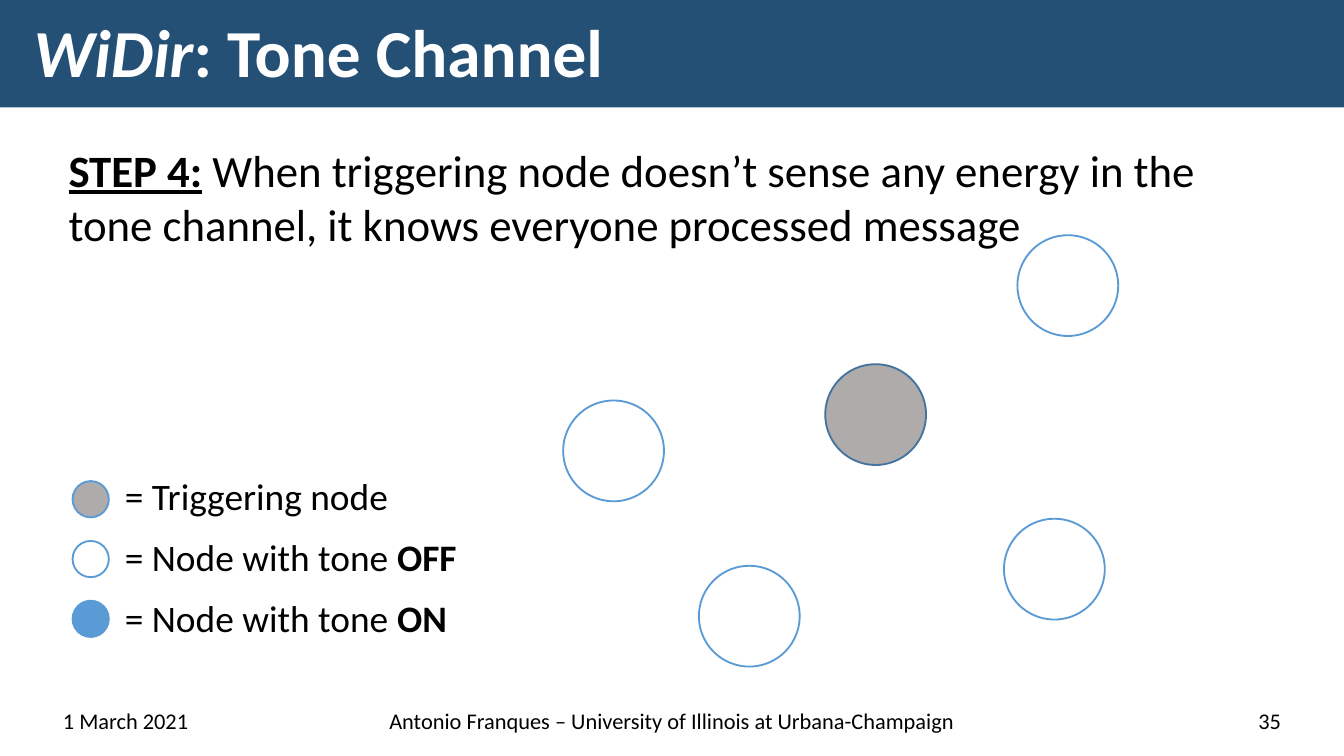
from dataclasses import dataclass
from typing import Any

from pptx import Presentation
from pptx.dml.color import RGBColor as Rgb
from pptx.enum.shapes import MSO_SHAPE as Kind
from pptx.enum.text import MSO_ANCHOR as Anchor, MSO_AUTO_SIZE as Fit, PP_ALIGN as Align
from pptx.util import Inches, Pt


@dataclass(frozen=True)
class Theme:
    font: str = "Calibri"
    bar: Rgb = Rgb(0x25, 0x50, 0x76)
    blue: Rgb = Rgb(0x5B, 0x9B, 0xD5)
    dark: Rgb = Rgb(0x43, 0x73, 0x9E)
    gray: Rgb = Rgb(0xAF, 0xAB, 0xAB)
    white: Rgb = Rgb(255, 255, 255)
    black: Rgb = Rgb(0, 0, 0)
    head: int = 36
    body: int = 24
    key: int = 20
    foot: int = 12


@dataclass(frozen=True)
class Node:
    left: float
    top: float
    fill: Rgb
    line: Rgb
    size: float = 0.75


@dataclass(frozen=True)
class Key:
    fill: Rgb
    text: str
    state: str = ""


@dataclass(frozen=True)
class Foot:
    left: float
    width: float
    text: str
    align: Align


T = Theme()
WIDTH = Inches(10)
HEIGHT = WIDTH * 9 // 16

NODES = [
    Node(6.14, 2.71, T.gray, T.dark),
    Node(7.57, 1.75, T.white, T.blue),
    Node(4.19, 2.98, T.white, T.blue),
    Node(7.47, 3.86, T.white, T.blue),
    Node(5.2, 4.21, T.white, T.blue),
]
KEYS = [
    Key(T.gray, "= Triggering node"),
    Key(T.white, "= Node with tone ", "OFF"),
    Key(T.blue, "= Node with tone ", "ON"),
]
FEET = [
    Foot(0.37, 2.57, "1 March 2021", Align.LEFT),
    Foot(2.77, 4.46, "Antonio Franques – University of Illinois at Urbana-Champaign", Align.CENTER),
    Foot(7.06, 2.57, "35", Align.RIGHT),
]


def put(item: Any, form: dict[str, Any]) -> None:
    for name, value in form.items():
        setattr(item, name, value)


def place(shape: Any, left: float, top: float, width: float, height: float) -> None:
    put(shape, {"left": Inches(left), "top": Inches(top),
                "width": Inches(width), "height": Inches(height)})


def add_run(para: Any, text: str, size: int, color: Rgb = T.black, **form: Any) -> None:
    run = para.add_run()
    run.text = text
    put(run.font, {"name": T.font, "size": Pt(size), **form})
    run.font.color.rgb = color


def set_frame(shape: Any, anchor: Anchor) -> Any:
    frame = shape.text_frame
    put(frame, {"word_wrap": True, "auto_size": Fit.NONE, "vertical_anchor": anchor})
    return frame


def add_box(shapes: Any, left: float, top: float, width: float, height: float,
            anchor: Anchor) -> Any:
    box = shapes.add_textbox(Inches(left), Inches(top), Inches(width), Inches(height))
    return set_frame(box, anchor)


def add_node(shapes: Any, node: Node) -> None:
    size = Inches(node.size)
    oval = shapes.add_shape(Kind.OVAL, Inches(node.left), Inches(node.top), size, size)
    oval.shadow.inherit = False
    oval.fill.solid()
    oval.fill.fore_color.rgb = node.fill
    oval.line.color.rgb = node.line
    oval.line.width = Pt(1)


def add_title(slide: Any) -> None:
    title = slide.shapes.title
    place(title, 0.15, 0.1, 9.7, 0.63)
    para = set_frame(title, Anchor.MIDDLE).paragraphs[0]
    put(para, {"alignment": Align.LEFT, "line_spacing": 0.9})
    add_run(para, "WiDir", T.head, T.white, bold=True, italic=True)
    add_run(para, ": Tone Channel", T.head, T.white, bold=True)

    # Bar behind the title
    bar = slide.shapes.add_shape(Kind.RECTANGLE, 0, 0, WIDTH, Inches(0.8))
    bar.shadow.inherit = False
    bar.fill.solid()
    bar.fill.fore_color.rgb = T.bar
    bar.line.fill.background()
    title.element.addprevious(bar.element)


def add_step(slide: Any) -> None:
    body = slide.placeholders[1]
    place(body, 0.41, 1.01, 8.9, 0.91)
    para = set_frame(body, Anchor.TOP).paragraphs[0]
    props = para._p.get_or_add_pPr()
    props.set("marL", "0")
    props.set("indent", "0")
    props.append(props.makeelement(
        "{http://schemas.openxmlformats.org/drawingml/2006/main}buNone", {}))
    para.space_before = Pt(0)
    add_run(para, "STEP 4:", T.body, bold=True, underline=True)
    add_run(para, " When triggering node doesn’t sense any energy in the tone channel, "
                  "it knows everyone processed message", T.body)


def add_legend(shapes: Any) -> None:
    frame = add_box(shapes, 0.45, 3.43, 3.32, 1.42, Anchor.MIDDLE)
    for row, key in enumerate(KEYS):
        para = frame.add_paragraph() if row else frame.paragraphs[0]
        props = para._p.get_or_add_pPr()
        props.set("marL", str(Inches(0.38)))
        if row:
            para.space_before = Pt(8.5)
        add_run(para, key.text, T.key)
        if key.state:
            add_run(para, key.state, T.key, bold=True)
        add_node(shapes, Node(0.54, 3.58 + 0.445 * row, key.fill, T.blue, 0.27))


def add_foot(shapes: Any, foot: Foot) -> None:
    para = add_box(shapes, foot.left, 5.21, foot.width, 0.3, Anchor.BOTTOM).paragraphs[0]
    para.alignment = foot.align
    add_run(para, foot.text, T.foot)


def main() -> None:
    deck = Presentation()
    put(deck, {"slide_width": WIDTH, "slide_height": HEIGHT})
    slide = deck.slides.add_slide(deck.slide_layouts[1])

    # Heading and text
    add_title(slide)
    add_step(slide)

    # Nodes and legend
    for node in NODES:
        add_node(slide.shapes, node)
    add_legend(slide.shapes)

    # Footer
    for foot in FEET:
        add_foot(slide.shapes, foot)

    deck.save("out.pptx")


if __name__ == "__main__":
    main()
